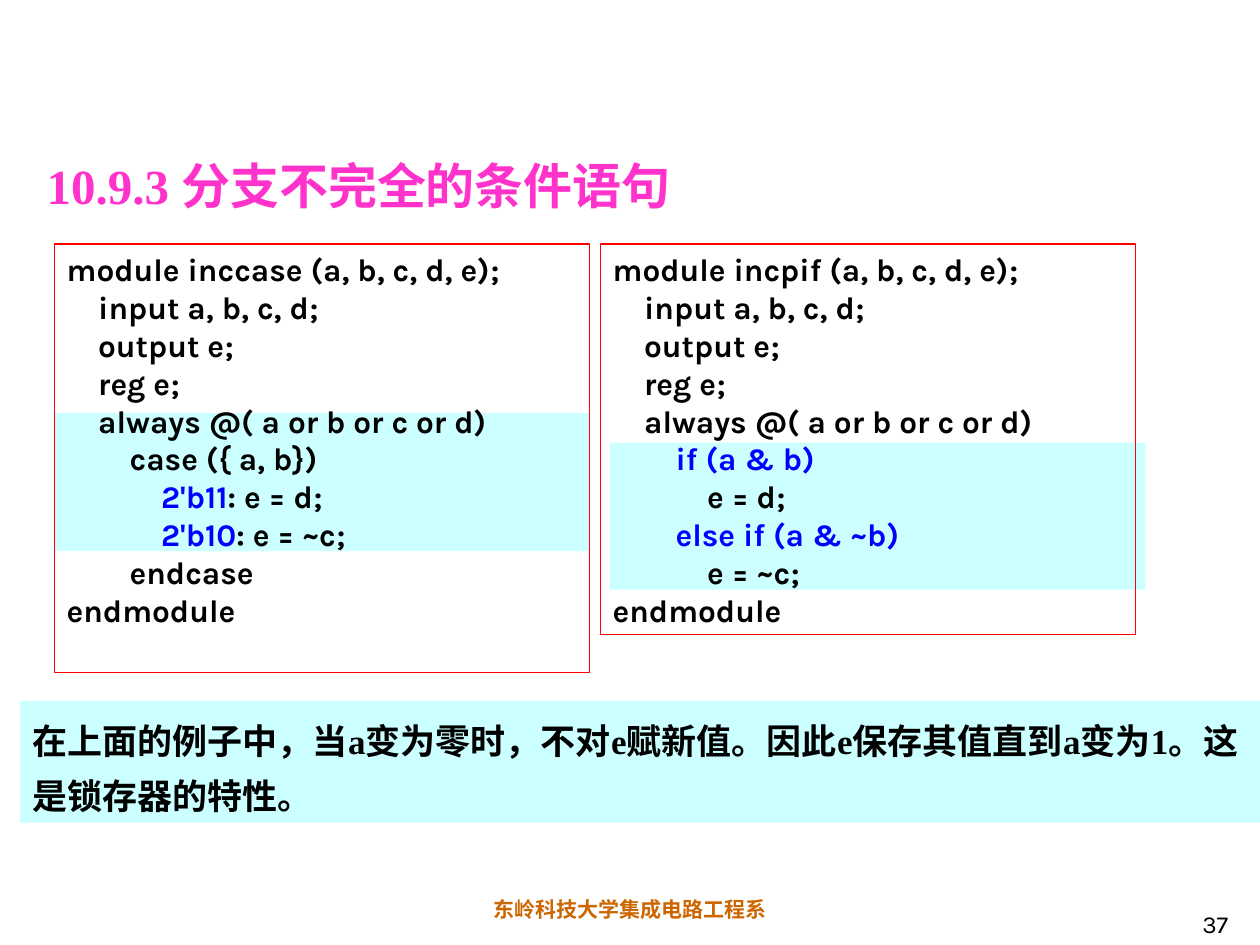
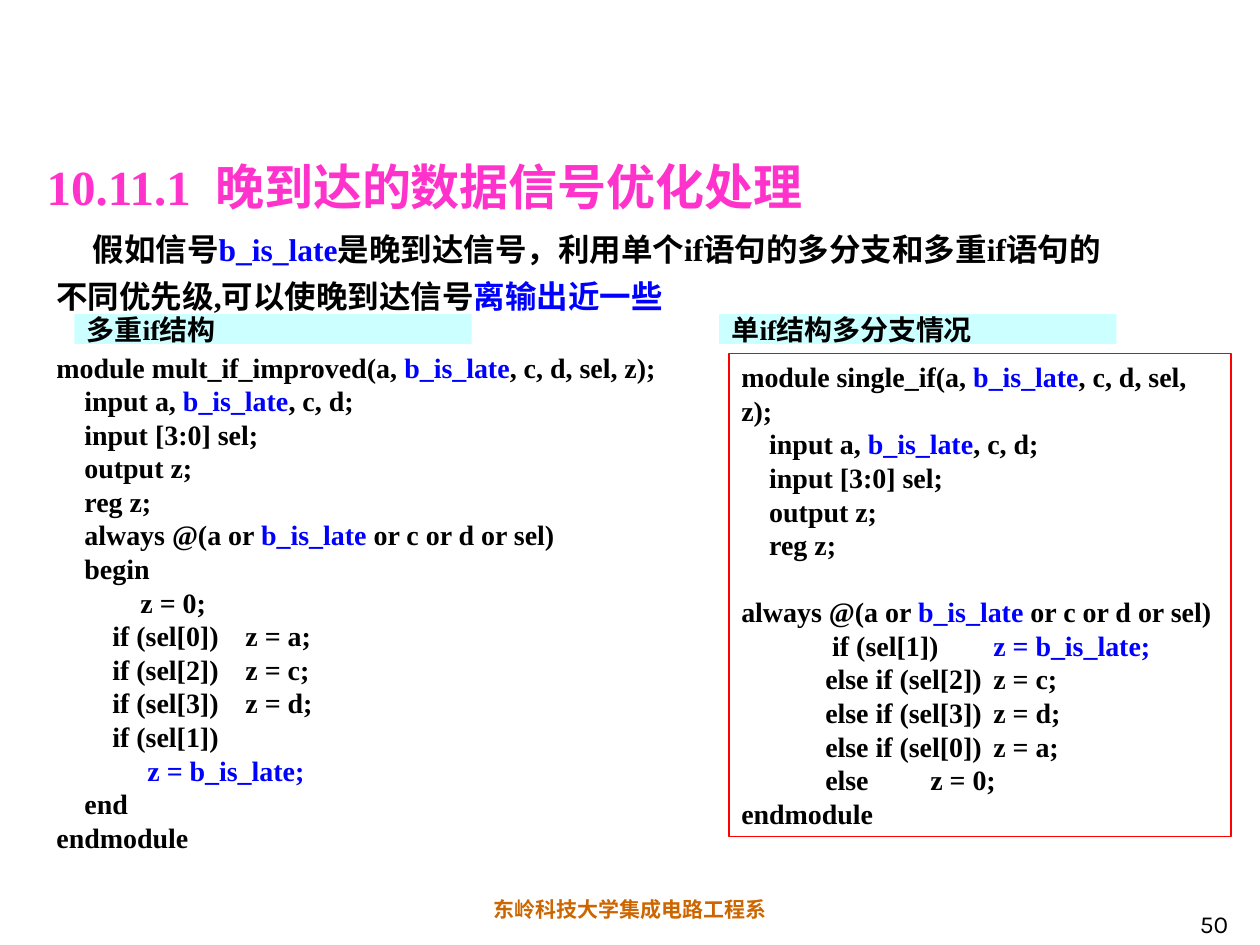
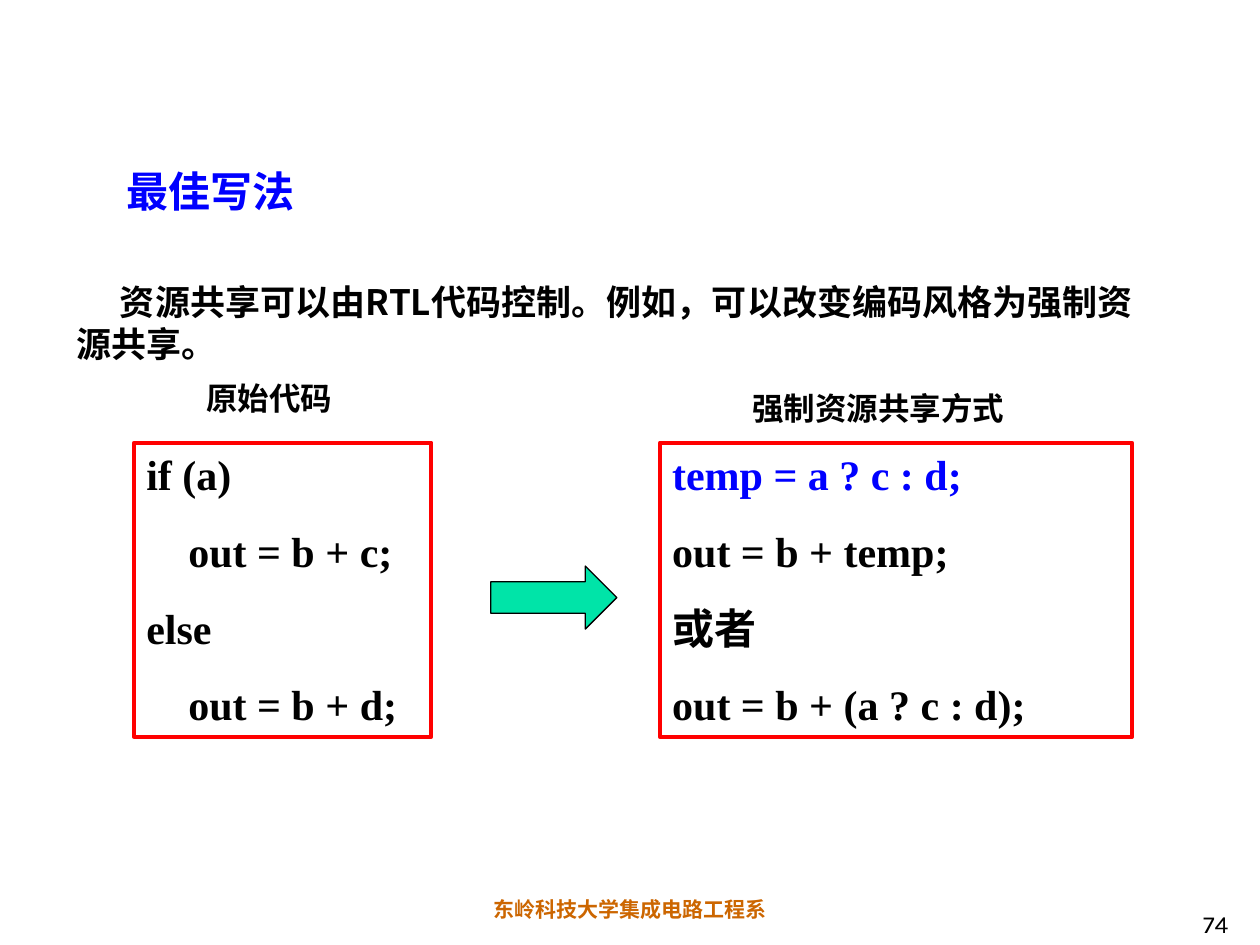
"""Build three slides on Verilog coding style: latches, late signals and resource sharing."""
from pptx import Presentation, util as u
from pptx.dml.color import RGBColor
from pptx.enum import shapes, text
from pptx.oxml.xmlchemy import OxmlElement

Pt = u.Pt
RECT = shapes.MSO_SHAPE.RECTANGLE
LEFT, CENTER = text.PP_ALIGN.LEFT, text.PP_ALIGN.CENTER
TOP, MIDDLE, BOTTOM = text.MSO_ANCHOR.TOP, text.MSO_ANCHOR.MIDDLE, text.MSO_ANCHOR.BOTTOM
TIMES, KARLA, CJK = "Times New Roman", "Karla", "Noto Sans CJK SC"
BLACK, BLUE, RED, PINK, ORANGE = "000000", "0000FF", "FF0000", "FF33CC", "CC6600"
CYAN, GREEN = "CCFFFF", "00E4A8"


def box(s, x, y, w, h, fill=None, line=None, width=0.75, kind=RECT):
    """Add a flat shape at a place given in points."""
    sp = s.shapes.add_shape(kind, Pt(x), Pt(y), Pt(w), Pt(h))
    sp.shadow.inherit = False
    if fill:
        sp.fill.solid()
        sp.fill.fore_color.rgb = RGBColor.from_string(fill)
    else:
        sp.fill.background()
    if line:
        sp.line.color.rgb = RGBColor.from_string(line)
        sp.line.width = Pt(width)
    else:
        sp.line.fill.background()
    return sp


def write(sp, lines, size=18, font=TIMES, color=BLACK, bold=True, align=LEFT,
          anchor=TOP, spacing=1.2, before=0):
    """Write lines of (indent level, text, tab stops); bars enclose blue text."""
    tf = sp.text_frame
    tf.word_wrap = True
    tf.auto_size = text.MSO_AUTO_SIZE.NONE
    tf.vertical_anchor = anchor
    tf.margin_left = tf.margin_right = Pt(7.2)
    tf.margin_top = tf.margin_bottom = Pt(3.6)
    if isinstance(lines, str):
        lines = [(0, lines)]
    for i, (level, line, *tabs) in enumerate(lines):
        p = tf.add_paragraph() if i else tf.paragraphs[0]
        p.alignment = align
        p.line_spacing = Pt(round(size * spacing, 2))
        gap = size * 1.2 if line.startswith("\n") else before
        p.space_before = Pt(gap if i else 0)
        pPr = p._p.get_or_add_pPr()
        pPr.set("marL", "0")
        pPr.set("indent", str(Pt(level * size)))
        if tabs:
            tab_list = OxmlElement("a:tabLst")
            for pos in tabs:
                tab = OxmlElement("a:tab")
                tab.set("pos", str(Pt(pos)))
                tab.set("algn", "l")
                tab_list.append(tab)
            pPr.append(tab_list)
        for j, part in enumerate(line.strip("\n").split("|")):
            if part:
                r = p.add_run()
                r.text = part
                r.font.size = Pt(size)
                r.font.bold = bold
                r.font.color.rgb = RGBColor.from_string(BLUE if j % 2 else color)
                r.font.name = font
                ea = OxmlElement("a:ea")
                ea.set("typeface", CJK)
                r._r.get_or_add_rPr().append(ea)


prs = Presentation()
prs.slide_width, prs.slide_height = Pt(720), Pt(540)

pages = [
    ("37", "10.9.3 分支不完全的条件语句", (19.5, 65.5, 618, 60.5), 28, TIMES, PINK),
    ("50", "10.11.1  晚到达的数据信号优化处理", (19.5, 106, 608.5, 20.5), 28, TIMES, PINK),
    ("74", "最佳写法", (65, 55, 612, 72), 24, KARLA, BLUE),
]
slides = []
for number, title, place, size, font, color in pages:
    s = prs.slides.add_slide(prs.slide_layouts[5])
    sp = s.shapes.title
    sp.left, sp.top, sp.width, sp.height = map(Pt, place)
    write(sp, title, size=size, font=font, color=color, anchor=BOTTOM)
    footer = s.shapes.add_textbox(Pt(0), Pt(509), Pt(720), Pt(21.6))
    write(footer, "东岭科技大学集成电路工程系", size=12, font=KARLA, color=ORANGE, align=CENTER)
    page = s.shapes.add_textbox(Pt(559), Pt(504), Pt(150), Pt(36))
    write(page, number, size=14, font=KARLA, bold=False, align=text.PP_ALIGN.RIGHT, anchor=BOTTOM)
    slides.append(s)
latch, late, sharing = slides

box(latch, 348.5, 253, 306, 84, fill=CYAN)
box(latch, 31, 236, 306, 79, fill=CYAN)
ports = [(1, "input a, b, c, d;"), (1, "output e;"), (1, "reg e;"),
         (1, "always @( a or b or c or d)")]
case_code = [(0, "module inccase (a, b, c, d, e);"), *ports,
             (2, "case ({ a, b})"), (3, "|2'b11|: e = d;"), (3, "|2'b10|: e = ~c;"),
             (2, "endcase"), (0, "endmodule")]
if_code = [(0, "module incpif (a, b, c, d, e);"), *ports,
           (2, "|if (a & b)|"), (3, "e = d;"), (2, "|else if (a & ~b)|"), (3, "e = ~c;"),
           (0, "endmodule")]
for x, h, code in [(31, 245, case_code), (343, 223, if_code)]:
    write(box(latch, x, 139.5, 306, h, line=RED), code, font=KARLA)
note = box(latch, 11.5, 400.5, 708.5, 69.6, fill=CYAN)
write(note, "在上面的例子中，当a变为零时，不对e赋新值。因此e保存其值直到a变为1。这是锁存器的特性。",
      size=20, spacing=1.56)

intro = late.shapes.add_textbox(Pt(25.2), Pt(122.5), Pt(620.5), Pt(61))
write(intro, [(1.15, "假如信号|b_is_late|是晚到达信号，利用单个if语句的多分支和多重if语句的不同优先级,"
                     "可以使晚到达信号|离输出近一些|")], spacing=1.5)
ports = [(1, "input a, |b_is_late|, c, d;"), (1, "input [3:0] sel;"), (1, "output z;"),
         (1, "reg z;")]
always = "always @(a or |b_is_late| or c or d or sel)"
multi = [(0, "module mult_if_improved(a, |b_is_late|, c, d, sel, z);"), *ports,
         (1, always), (1, "begin"), (3, "z = 0;"),
         *[(2, f"if (sel[{n}])\tz = {z};", 100.5) for n, z in [(0, "a"), (2, "c"), (3, "d")]],
         (2, "if (sel[1])"), (3.25, "|z = b_is_late;|"), (1, "end"), (0, "endmodule")]
single = [(0, "module single_if(a, |b_is_late|, c, d, sel, z);"), *ports,
          (0, "\n" + always), (3.25, "if (sel[1])\t|z = b_is_late;|", 124.5),
          *[(3, f"else if (sel[{n}])\tz = {z};", 157.5) for n, z in [(2, "c"), (3, "d"), (0, "a")]],
          (3, "else\tz = 0;", 157.5), (0, "endmodule")]
write(box(late, 25.2, 196.5, 357, 295), multi, size=16)
write(box(late, 416.5, 202, 287, 276, line=RED), single, size=16)
for x, label in [(42.5, "多重if结构"), (411, "单if结构多分支情况")]:
    write(box(late, x, 179.5, 227, 17, fill=CYAN), label, size=16, anchor=MIDDLE)

intro = sharing.shapes.add_textbox(Pt(36.5), Pt(157), Pt(618), Pt(55.5))
write(intro, [(1.25, "资源共享可以由RTL代码控制。例如，可以改变编码风格为强制资源共享。")],
      size=20, font=CJK, align=text.PP_ALIGN.JUSTIFY)
before_code = [(0, "if (a)"), (1, "out = b + c;"), (0, "else"), (1, "out = b + d;")]
after_code = [(0, "|temp = a ? c : d;|"), (0, "out = b + temp;"), (0, "或者"),
              (0, "out = b + (a ? c : d);")]
for x, w, code in [(76.5, 170, before_code), (377, 270, after_code)]:
    write(box(sharing, x, 253, w, 168, line=RED, width=2.25), code, size=24, before=15)
for x, y, w, label in [(82, 213, 144, "原始代码"), (411, 219, 181.5, "强制资源共享方式")]:
    sp = sharing.shapes.add_textbox(Pt(x), Pt(y), Pt(w), Pt(29))
    write(sp, label, font=KARLA, align=CENTER)
box(sharing, 280.5, 323.5, 72, 36, fill=GREEN, line=BLACK, kind=shapes.MSO_SHAPE.RIGHT_ARROW)

prs.save("out.pptx")
